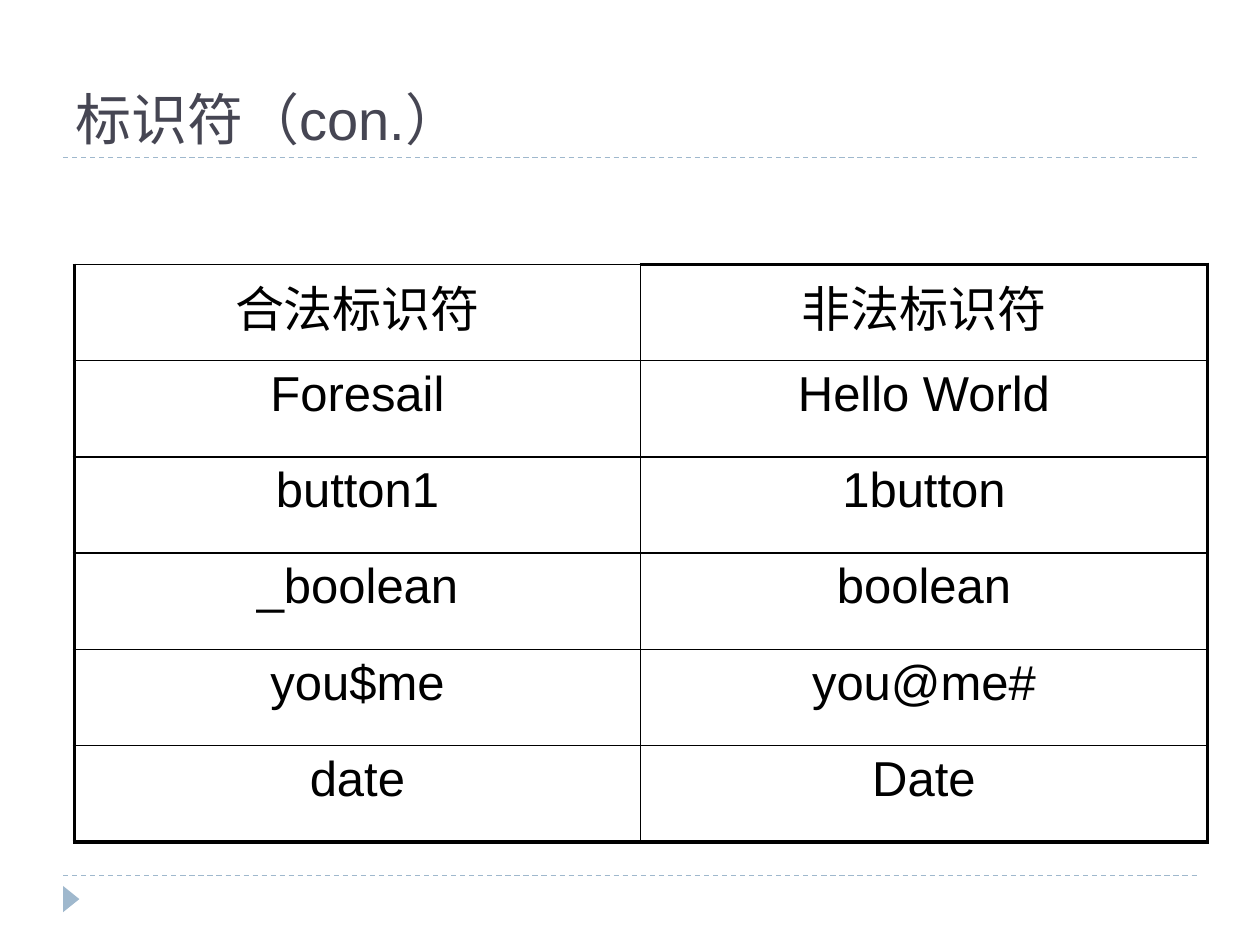
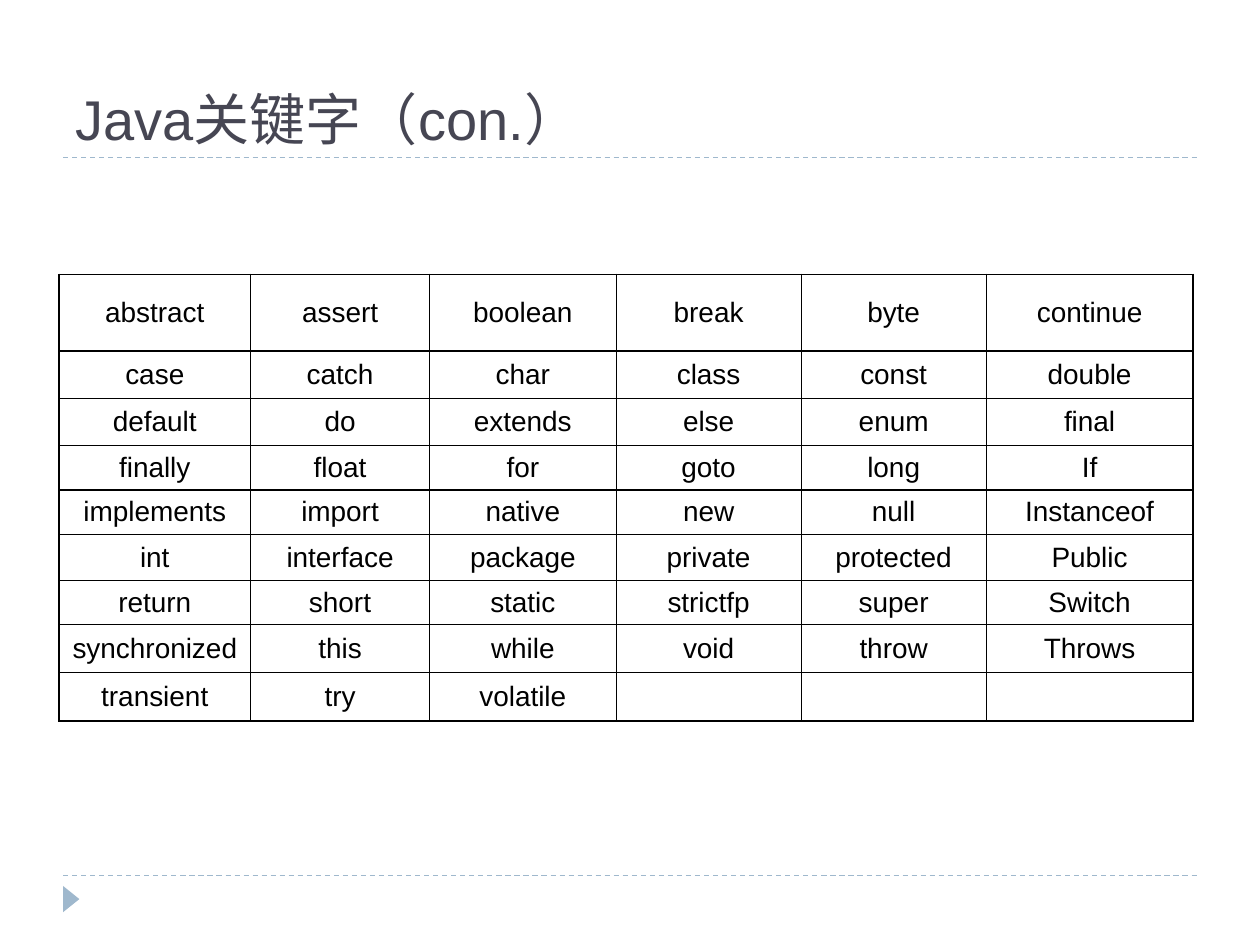
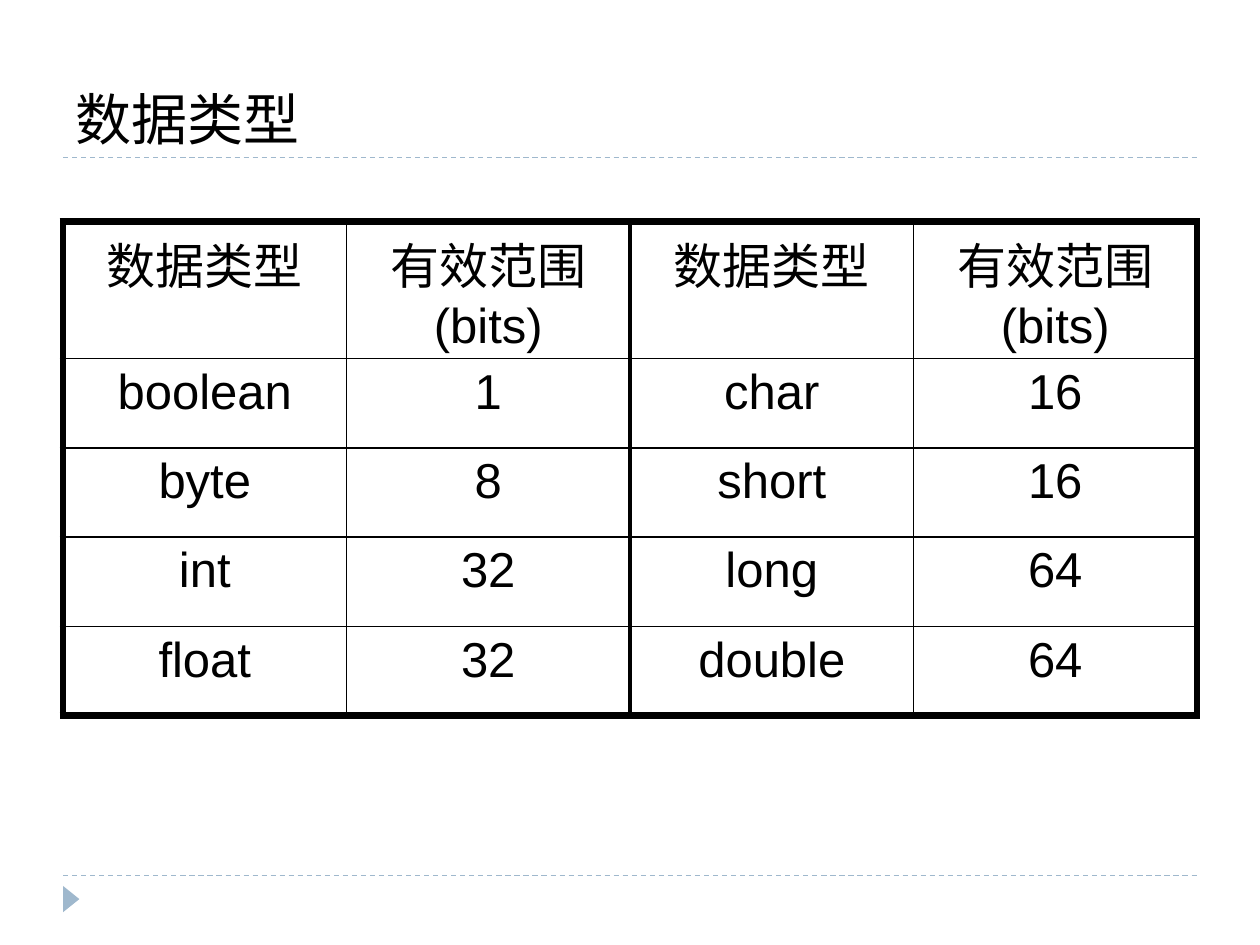
"""Build three slides on Java identifiers, keywords and data types."""
from dataclasses import dataclass

from lxml import etree
from pptx import Presentation
from pptx.dml.color import RGBColor
from pptx.enum.dml import MSO_LINE
from pptx.enum.shapes import MSO_CONNECTOR, MSO_SHAPE
from pptx.enum.text import MSO_ANCHOR, PP_ALIGN
from pptx.oxml.ns import qn
from pptx.util import Cm, Pt

DASH = MSO_LINE.DASH
STRAIGHT = MSO_CONNECTOR.STRAIGHT
TRIANGLE = MSO_SHAPE.ISOSCELES_TRIANGLE
TOP, MIDDLE, BOTTOM = MSO_ANCHOR.TOP, MSO_ANCHOR.MIDDLE, MSO_ANCHOR.BOTTOM
CENTER = PP_ALIGN.CENTER


@dataclass(frozen=True)
class Theme:
    """Colours, font and type sizes of the deck."""
    font: str = "Arial"
    ink: str = "000000"
    heading: str = "464653"
    accent: str = "9FB8CD"
    title_size: float = 32
    large_size: float = 28
    small_size: float = 16
    rule_width: float = 0.75


@dataclass(frozen=True)
class Box:
    """A region in centimetres."""
    left: float
    top: float
    width: float
    height: float


@dataclass(frozen=True)
class GridStyle:
    """Text placement and border widths of a table."""
    size: float
    anchor: MSO_ANCHOR
    inset: tuple
    verticals: tuple
    tops: tuple
    bottom: float
    inner: float = 1


THEME = Theme()
PAGE = Box(0, 0, 25.4, 19.05)
HEADER = Box(1.27, 0.43, 22.86, 2.75)
FOOTER = Box(1.27, 17.65, 22.86, 0.85)
WIDE_INSET = (0.25, 0.13)
TIGHT_INSET = (0.2, 0.1)

IDENTIFIERS = (
    ("合法标识符", "非法标识符"),
    ("Foresail", "Hello World"),
    ("button1", "1button"),
    ("_boolean", "boolean"),
    ("you$me", "you@me#"),
    ("date", "Date"),
)
KEYWORDS = (
    ("abstract", "assert", "boolean", "break", "byte", "continue"),
    ("case", "catch", "char", "class", "const", "double"),
    ("default", "do", "extends", "else", "enum", "final"),
    ("finally", "float", "for", "goto", "long", "If"),
    ("implements", "import", "native", "new", "null", "Instanceof"),
    ("int", "interface", "package", "private", "protected", "Public"),
    ("return", "short", "static", "strictfp", "super", "Switch"),
    ("synchronized", "this", "while", "void", "throw", "Throws"),
    ("transient", "try", "volatile", "", "", ""),
)
DATA_TYPES = (
    ("数据类型", "有效范围(bits)") * 2,
    ("boolean", "1", "char", "16"),
    ("byte", "8", "short", "16"),
    ("int", "32", "long", "64"),
    ("float", "32", "double", "64"),
)


def add_run(paragraph, text, size, color):
    """Append one styled run."""
    run = paragraph.add_run()
    run.text = text
    run.font.name = THEME.font
    run.font.size = Pt(size)
    run.font.color.rgb = RGBColor.from_string(color)


def add_rule(slide, box, offset):
    """Draw a dashed rule across the box, offset down from its top."""
    y = Cm(box.top + offset)
    rule = slide.shapes.add_connector(
        STRAIGHT, Cm(box.left), y, Cm(box.left + box.width), y)
    rule.line.color.rgb = RGBColor.from_string(THEME.accent)
    rule.line.width = Pt(THEME.rule_width)
    rule.line.dash_style = DASH
    etree.SubElement(rule._element.spPr, qn("a:effectLst"))


def add_header(slide, box, title, color):
    """Place the title above the rule at the bottom of the box."""
    add_rule(slide, box, box.height)
    heading = slide.shapes.add_textbox(
        Cm(box.left), Cm(box.top), Cm(box.width), Cm(box.height))
    frame = heading.text_frame
    frame.word_wrap = True
    frame.vertical_anchor = BOTTOM
    add_run(frame.paragraphs[0], title, THEME.title_size, color)


def add_footer(slide, box):
    """Place the rule and the arrow marker below it."""
    add_rule(slide, box, 0)
    marker = slide.shapes.add_shape(
        TRIANGLE, Cm(box.left - 0.1), Cm(box.top + 0.31), Cm(0.53), Cm(0.33))
    marker.rotation = 90
    marker.shadow.inherit = False
    marker.fill.solid()
    marker.fill.fore_color.rgb = RGBColor.from_string(THEME.accent)
    marker.line.fill.background()


def set_borders(cell, widths):
    """Draw the left, right, top and bottom borders of a cell."""
    properties = cell._tc.get_or_add_tcPr()
    for side, width in zip("LRTB", widths):
        border = etree.SubElement(properties, qn(f"a:ln{side}"), w=str(Pt(width)))
        fill = etree.SubElement(border, qn("a:solidFill"))
        etree.SubElement(fill, qn("a:srgbClr"), val=THEME.ink)


def fill_cell(cell, text, style):
    """Write centred text into a clear cell."""
    cell.fill.background()
    cell.vertical_anchor = style.anchor
    side, end = style.inset
    cell.margin_left = cell.margin_right = Cm(side)
    cell.margin_top = cell.margin_bottom = Cm(end)
    paragraph = cell.text_frame.paragraphs[0]
    paragraph.alignment = CENTER
    if text:
        add_run(paragraph, text, style.size, THEME.ink)


def add_grid(slide, left, top, columns, heights, words, style):
    """Place a bordered table of words."""
    table = slide.shapes.add_table(
        len(heights), len(columns), Cm(left), Cm(top),
        Cm(sum(columns)), Cm(sum(heights))).table
    table.first_row = table.horz_banding = False
    for column, width in zip(table.columns, columns):
        column.width = Cm(width)
    last = len(heights) - 1
    for r, (height, line) in enumerate(zip(heights, words)):
        table.rows[r].height = Cm(height)
        for c, word in enumerate(line):
            cell = table.cell(r, c)
            set_borders(cell, (
                style.verticals[c],
                style.verticals[c + 1],
                style.inner if r else style.tops[c],
                style.bottom if r == last else style.inner))
            fill_cell(cell, word, style)


def add_page(deck, title, color=THEME.heading):
    """Add a slide with the shared header and footer."""
    slide = deck.slides.add_slide(deck.slide_layouts[6])
    add_footer(slide, FOOTER)
    add_header(slide, HEADER, title, color)
    return slide


def build_identifiers(deck):
    """Compare legal and illegal identifiers."""
    slide = add_page(deck, "标识符（con.）")
    style = GridStyle(THEME.large_size, TOP, WIDE_INSET,
                      verticals=(2.25, 1, 2.25), tops=(1, 2.25), bottom=2.25)
    add_grid(slide, 1.5, 5.33, (11.41, 11.43), (1.94,) * 6, IDENTIFIERS, style)


def build_keywords(deck):
    """List the Java keywords."""
    slide = add_page(deck, "Java关键字（con.）")
    style = GridStyle(THEME.small_size, MIDDLE, TIGHT_INSET,
                      verticals=(1, 0.75, 0.75, 0.75, 0.75, 0.75, 1),
                      tops=(1,) * 6, bottom=1)
    columns = (3.86, 3.61, 3.76, 3.73, 3.73, 4.17)
    heights = (1.55, 0.95, 0.95, 0.9, 0.89, 0.93, 0.89, 0.97, 0.97)
    add_grid(slide, 1.19, 5.53, columns, heights, KEYWORDS, style)


def build_data_types(deck):
    """List the data types and their sizes."""
    slide = add_page(deck, "数据类型", THEME.ink)
    style = GridStyle(THEME.large_size, TOP, WIDE_INSET,
                      verticals=(4.5, 1, 3, 1, 4.5), tops=(4.5,) * 4, bottom=4.5)
    columns = (HEADER.width / 4,) * 4
    heights = (2.76,) + (1.8,) * 4
    add_grid(slide, HEADER.left, 4.47, columns, heights, DATA_TYPES, style)


def main():
    """Build and save the deck."""
    deck = Presentation()
    deck.slide_width, deck.slide_height = Cm(PAGE.width), Cm(PAGE.height)
    build_identifiers(deck)
    build_keywords(deck)
    build_data_types(deck)
    deck.save("out.pptx")


if __name__ == "__main__":
    main()
